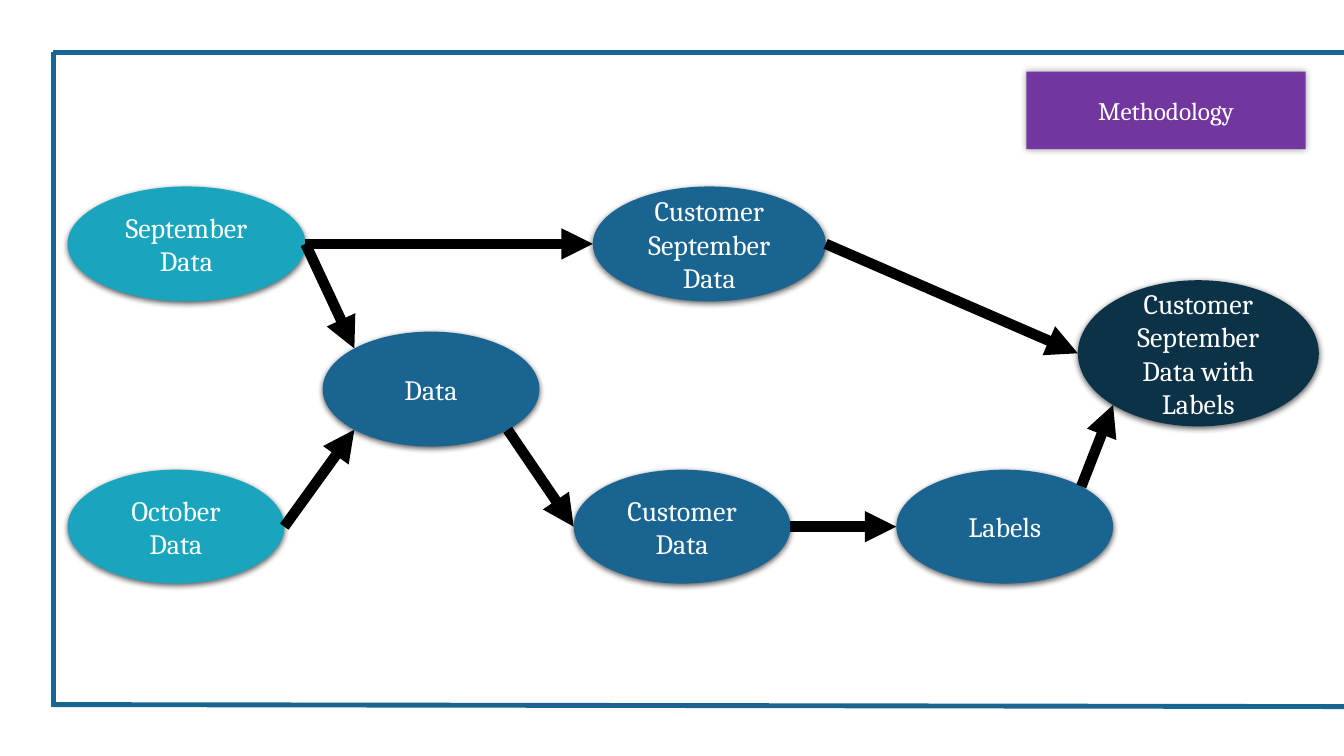
from math import sqrt

from lxml.etree import SubElement
from pptx import Presentation
from pptx.dml.color import RGBColor
from pptx.enum.shapes import MSO_CONNECTOR, MSO_SHAPE
from pptx.enum.text import MSO_ANCHOR, PP_ALIGN
from pptx.oxml import parse_xml
from pptx.oxml.ns import nsdecls, qn
from pptx.util import Inches, Pt

FONT = "Cambria"
WHITE, BLACK = "FFFFFF", "000000"
TEAL, BLUE, NAVY, PURPLE = "19A5BE", "196491", "0C3248", "7030A0"

TITLE = ("Methodology", (10.18, 0.71, 2.77, 0.77))

# key: text, (left, top, width, height), fill
NODES = {
    "september": ("September Data", (0.67, 1.85, 2.36, 1.14), TEAL),
    "october": ("October Data", (0.67, 4.66, 2.15, 1.13), TEAL),
    "data": ("Data", (3.2, 3.29, 2.15, 1.14), BLUE),
    "customer september": ("Customer September Data", (5.88, 1.85, 2.31, 1.14), BLUE),
    "customer": ("Customer Data", (5.69, 4.66, 2.15, 1.13), BLUE),
    "labels": ("Labels", (8.89, 4.66, 2.15, 1.13), BLUE),
    "result": ("Customer September Data with Labels", (10.69, 2.78, 2.39, 1.45), NAVY),
}

# Ellipse connection sites: index and offset from the centre in radii
DIAGONAL = sqrt(0.5)
SITES = {
    "top left": (1, -DIAGONAL, -DIAGONAL),
    "left": (2, -1, 0),
    "bottom left": (3, -DIAGONAL, DIAGONAL),
    "bottom right": (5, DIAGONAL, DIAGONAL),
    "right": (6, 1, 0),
    "top right": (7, DIAGONAL, -DIAGONAL),
}

ARROWS = [
    ("september", "right", "customer september", "left"),
    ("october", "right", "data", "bottom left"),
    ("september", "right", "data", "top left"),
    ("data", "bottom right", "customer", "left"),
    ("customer", "right", "labels", "left"),
    ("customer september", "right", "result", "left"),
    ("labels", "top right", "result", "bottom left"),
]

FRAME_LINES = [
    ((0.53, 0.52), (13.33, 0.52)),
    ((0.53, 7.01), (0.53, 0.52)),
    ((0.53, 6.99), (13.33, 7.01)),
]


def color(hex_string):
    return RGBColor.from_string(hex_string)


def add_line(start, end, line_color, width):
    points = [Inches(value) for value in (*start, *end)]
    connector = slide.shapes.add_connector(MSO_CONNECTOR.STRAIGHT, *points)
    connector.line.color.rgb = color(line_color)
    connector.line.width = Pt(width)
    SubElement(connector.element.spPr, qn("a:effectLst"))
    return connector


def format_shape(shape, text, fill, size):
    shape.fill.solid()
    shape.fill.fore_color.rgb = color(fill)
    shape.line.fill.background()
    text_frame = shape.text_frame
    text_frame.text = text
    text_frame.word_wrap = True
    text_frame.vertical_anchor = MSO_ANCHOR.MIDDLE
    paragraph = text_frame.paragraphs[0]
    paragraph.alignment = PP_ALIGN.CENTER
    font = paragraph.runs[0].font
    font.name, font.size, font.color.rgb = FONT, Pt(size), color(WHITE)


def add_shadow(shape, opacity, blur, distance, degrees):
    shape.shadow.inherit = False
    effects = shape.element.spPr.find(qn("a:effectLst"))
    effects.append(parse_xml(
        f'<a:outerShdw {nsdecls("a")} blurRad="{Pt(blur)}" dist="{Pt(distance)}" '
        f'dir="{degrees * 60000}" algn="ctr" rotWithShape="0"><a:srgbClr val="{BLACK}">'
        f'<a:alpha val="{opacity * 1000}"/></a:srgbClr></a:outerShdw>'))


def site_point(node, site):
    left, top, width, height = NODES[node][1]
    _, across, down = SITES[site]
    return left + width / 2 * (1 + across), top + height / 2 * (1 + down)


presentation = Presentation()
presentation.slide_width, presentation.slide_height = Inches(13.33), Inches(7.5)
slide = presentation.slides.add_slide(presentation.slide_layouts[5])

# Frame
for start, end in FRAME_LINES:
    add_line(start, end, BLUE, 3.5)

# Title in a rounded, slightly transparent box
title = slide.shapes.title
title_text, title_box = TITLE
title.left, title.top, title.width, title.height = map(Inches, title_box)
title.element.spPr.insert(1, parse_xml(
    f'<a:prstGeom {nsdecls("a")} prst="roundRect"><a:avLst/></a:prstGeom>'))
format_shape(title, title_text, PURPLE, 18)
title_color = title.element.spPr.find(qn("a:solidFill"))[0]
SubElement(title_color, qn("a:alpha"), val="94000")
add_shadow(title, 40, 5, 0, 0)

# Data sets
ellipses = {}
for key, (text, box, fill) in NODES.items():
    ellipse = slide.shapes.add_shape(MSO_SHAPE.OVAL, *map(Inches, box))
    format_shape(ellipse, text, fill, 20)
    add_shadow(ellipse, 63, 4.5, 1.5, 90)
    ellipses[key] = ellipse

# Arrows, attached to the ellipses at both ends
for source, source_site, target, target_site in ARROWS:
    arrow = add_line(site_point(source, source_site), site_point(target, target_site), BLACK, 7.5)
    SubElement(arrow.element.spPr.find(qn("a:ln")), qn("a:tailEnd"), type="triangle")
    links = arrow.element.find(".//" + qn("p:cNvCxnSpPr"))
    for tag, node, site in (("a:stCxn", source, source_site), ("a:endCxn", target, target_site)):
        SubElement(links, qn(tag), id=str(ellipses[node].shape_id), idx=str(SITES[site][0]))

presentation.save("out.pptx")
